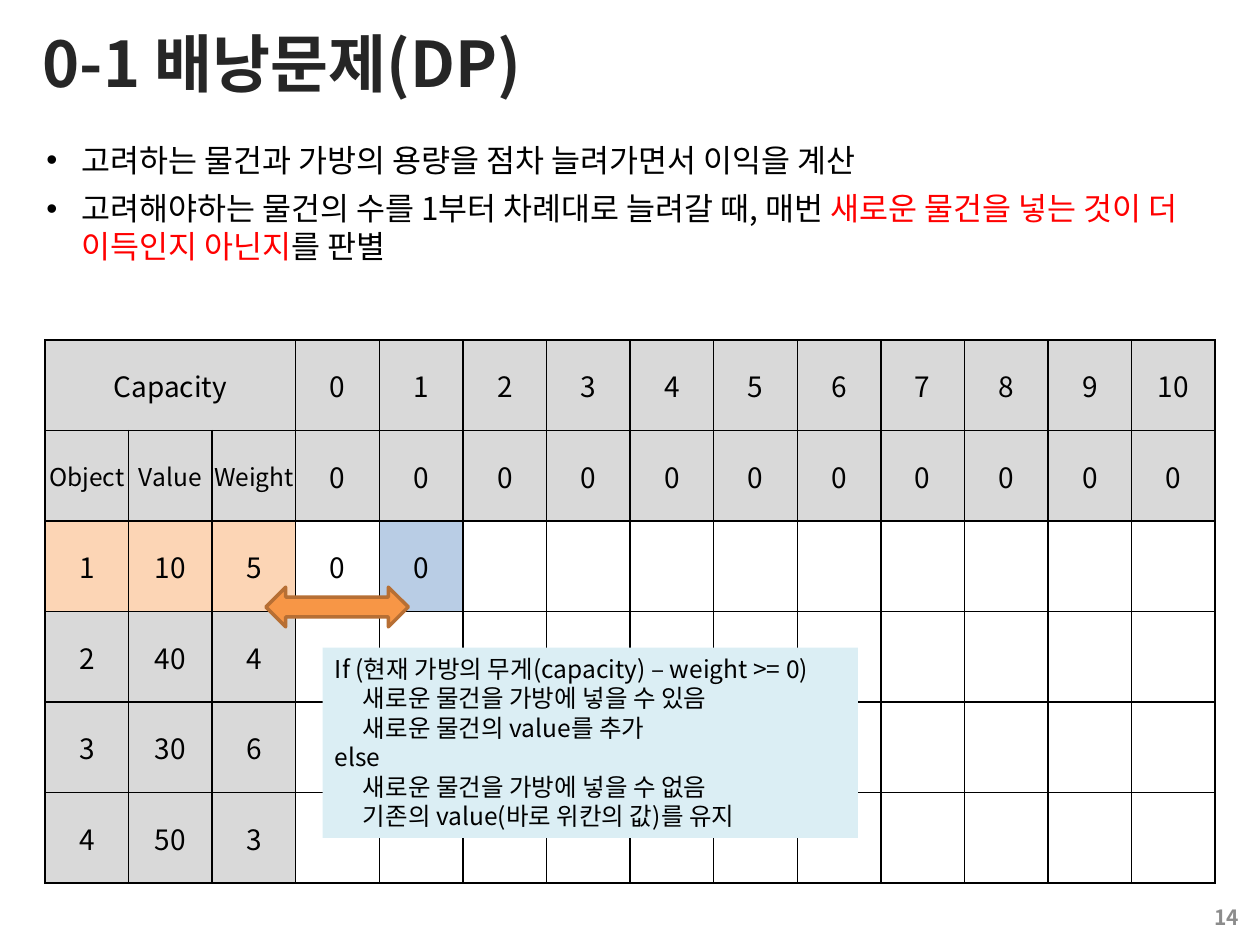
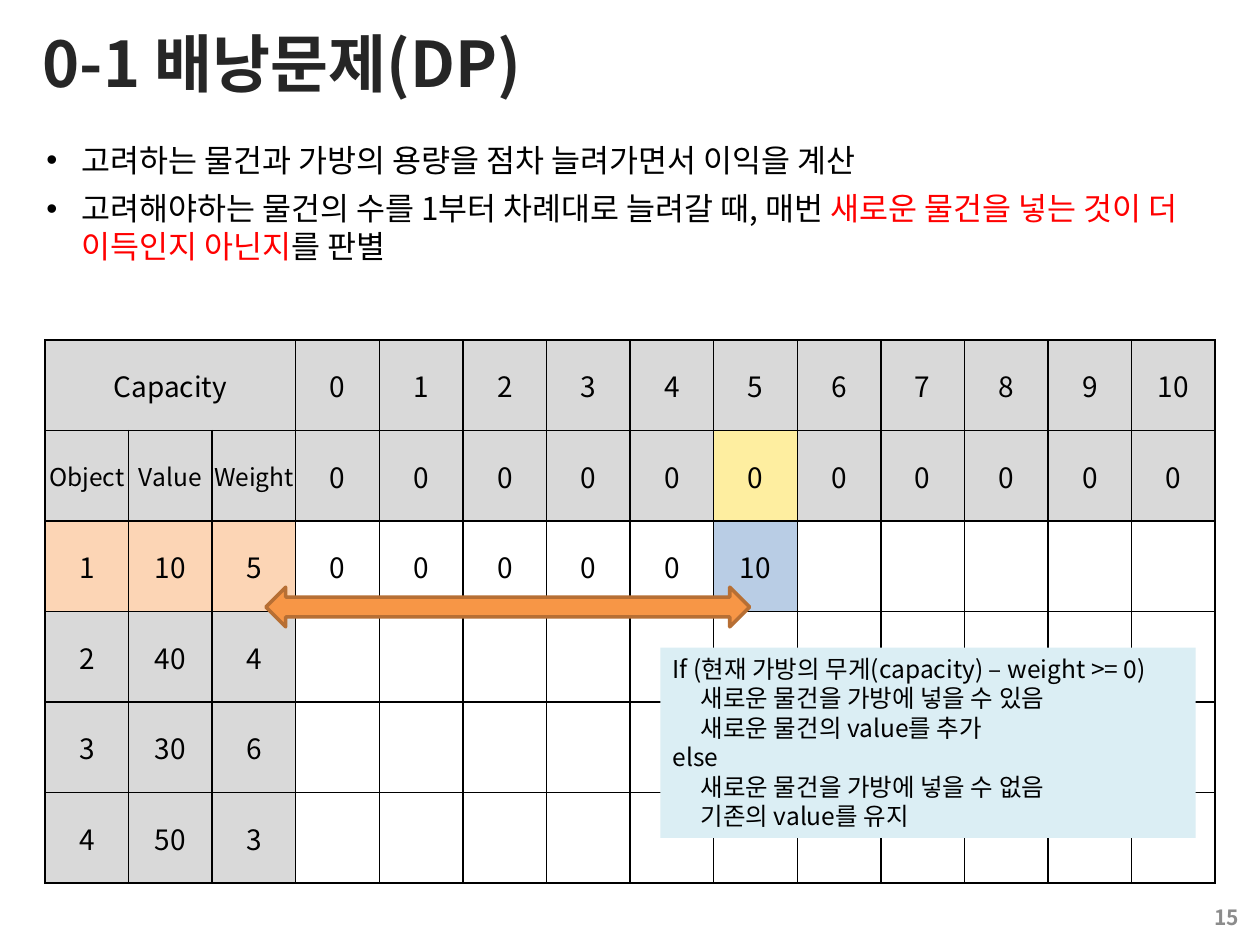
from dataclasses import dataclass
from lxml.etree import SubElement
from pptx import Presentation
from pptx.dml.color import RGBColor
from pptx.enum.shapes import MSO_SHAPE
from pptx.enum.text import MSO_ANCHOR, PP_ALIGN
from pptx.oxml import parse_xml
from pptx.oxml.ns import nsdecls, qn
from pptx.util import Pt


@dataclass(frozen=True)
class Theme:
    font: str = "Noto Sans CJK KR"
    ink: str = "000000"
    title_ink: str = "262626"
    number_ink: str = "8C8C8C"
    accent: str = "FF0000"
    header: str = "D9D9D9"
    item: str = "FCD5B5"
    current: str = "B9CDE5"
    above: str = "FEEEA0"
    arrow: str = "F79646"
    arrow_edge: str = "B76F34"
    note: str = "DBEEF4"
    title_size: int = 36
    body_size: int = 18
    cell_size: int = 16
    small_size: int = 14
    number_size: int = 12


@dataclass(frozen=True)
class Box:
    left: float
    top: float
    width: float
    height: float

    def points(self):
        return [Pt(side) for side in (self.left, self.top, self.width, self.height)]


THEME = Theme()
TITLE_BOX = Box(17.3, 0.7, 684.7, 69.8)
BODY_BOX = Box(19.4, 77, 681.1, 438.5)
NUMBER_BOX = Box(547.2, 509.8, 167.8, 28.8)
TABLE_BOX = Box(25.7, 194.4, 668.9, 310.3)
TITLE = "0-1 배낭문제(DP)"
BULLETS = [
    [("고려하는 물건과 가방의 용량을 점차 늘려가면서 이익을 계산", THEME.ink)],
    [
        ("고려해야하는 물건의 수를 1부터 차례대로 늘려갈 때, 매번 ", THEME.ink),
        ("새로운 물건을 넣는 것이 더 이득인지 아닌지", THEME.accent),
        ("를 판별", THEME.ink),
    ],
]
CAPACITIES = range(11)
LABELS = ["Object", "Value", "Weight"]
OBJECTS = [(1, 10, 5), (2, 40, 4), (3, 30, 6), (4, 50, 3)]
NOTE_LINES = [
    (0, "If (현재 가방의 무게(capacity) – weight >= 0)"),
    (1, "새로운 물건을 가방에 넣을 수 있음"),
    (1, "새로운 물건의 value를 추가"),
    (0, "else"),
    (1, "새로운 물건을 가방에 넣을 수 없음"),
]
STEPS = [
    {"number": 14, "gains": [0, 0], "compare_above": False, "arrow_width": 81.4,
     "note_left": 184.3, "last_line": "기존의 value(바로 위칸의 값)를 유지"},
    {"number": 15, "gains": [0, 0, 0, 0, 0, 10], "compare_above": True, "arrow_width": 276.5,
     "note_left": 377.3, "last_line": "기존의 value를 유지"},
]


def assign(target, values):
    for name, value in values.items():
        setattr(target, name, value)


def paint(fill, color):
    fill.solid()
    fill.fore_color.rgb = RGBColor.from_string(color)


def write(para, text, size, color=THEME.ink, bold=False):
    span = para.add_run()
    span.text = text
    assign(span.font, {"name": THEME.font, "size": Pt(size), "bold": bold})
    span.font.color.rgb = RGBColor.from_string(color)
    SubElement(span.font._element, qn("a:ea")).set("typeface", THEME.font)


def indent(para, left, hanging=0):
    properties = para._p.get_or_add_pPr()
    properties.set("marL", str(Pt(left)))
    properties.set("indent", str(-Pt(hanging)))
    return properties


def add_text_frame(page, box, anchor):
    frame = page.shapes.add_textbox(*box.points()).text_frame
    assign(frame, {"word_wrap": True, "vertical_anchor": anchor})
    return frame


def next_para(frame, index):
    return frame.add_paragraph() if index else frame.paragraphs[0]


def add_title(page, box):
    frame = add_text_frame(page, box, MSO_ANCHOR.MIDDLE)
    write(frame.paragraphs[0], TITLE, THEME.title_size, THEME.title_ink, True)


def add_bullets(page, box):
    frame = add_text_frame(page, box, MSO_ANCHOR.TOP)
    for index, parts in enumerate(BULLETS):
        para = next_para(frame, index)
        assign(para, {"space_before": Pt(3), "space_after": Pt(3)})
        properties = indent(para, 20, 20)
        SubElement(properties, qn("a:buFont")).set("typeface", "Arial")
        SubElement(properties, qn("a:buChar")).set("char", "•")
        for text, color in parts:
            write(para, text, THEME.body_size, color)


def add_page_number(page, box, number):
    para = add_text_frame(page, box, MSO_ANCHOR.MIDDLE).paragraphs[0]
    para.alignment = PP_ALIGN.RIGHT
    write(para, str(number), THEME.number_size, THEME.number_ink, True)


def border_cell(cell):
    properties = cell._tc.get_or_add_tcPr()
    for index, side in enumerate("LRTB"):
        properties.insert(index, parse_xml(
            f'<a:ln{side} {nsdecls("a")} w="{Pt(1)}"><a:solidFill>'
            f'<a:srgbClr val="{THEME.ink}"/></a:solidFill></a:ln{side}>'))


def cell_color(row, column, step):
    current = len(LABELS) + len(step["gains"]) - 1
    if column == current and row == 2:
        return THEME.current
    if column == current and row == 1 and step["compare_above"]:
        return THEME.above
    if row == 2 and column < len(LABELS):
        return THEME.item
    if row < 2 or column < len(LABELS):
        return THEME.header
    return None


def add_knapsack_table(page, box, step):
    rows = [["Capacity", "", "", *CAPACITIES], [*LABELS, *(0 for _ in CAPACITIES)], *OBJECTS]
    rows[2] = [*rows[2], *step["gains"]]
    column_count = len(rows[0])
    table = page.shapes.add_table(len(rows), column_count, *box.points()).table
    assign(table, {"first_row": False, "horz_banding": False})
    for column in table.columns:
        column.width = Pt(box.width / column_count)
    for row in table.rows:
        row.height = Pt(box.height / len(rows))
    for row, values in enumerate(rows):
        for column in range(column_count):
            cell = table.cell(row, column)
            margins = {f"margin_{side}": 0 for side in ("left", "right", "top", "bottom")}
            assign(cell, {"vertical_anchor": MSO_ANCHOR.MIDDLE, **margins})
            color = cell_color(row, column, step)
            if color:
                paint(cell.fill, color)
            else:
                cell.fill.background()
            border_cell(cell)
            text = str(values[column]) if column < len(values) else ""
            if text:
                para = cell.text_frame.paragraphs[0]
                para.alignment = PP_ALIGN.CENTER
                write(para, text, THEME.small_size if text in LABELS else THEME.cell_size)
    table.cell(0, 0).merge(table.cell(0, len(LABELS) - 1))


def add_compare_arrow(page, box):
    arrow = page.shapes.add_shape(MSO_SHAPE.LEFT_RIGHT_ARROW, *box.points())
    arrow.shadow.inherit = False
    paint(arrow.fill, THEME.arrow)
    paint(arrow.line.fill, THEME.arrow_edge)
    arrow.line.width = Pt(2)


def add_rule_note(page, box, last_line):
    note = page.shapes.add_shape(MSO_SHAPE.RECTANGLE, *box.points())
    note.shadow.inherit = False
    paint(note.fill, THEME.note)
    note.line.fill.background()
    frame = note.text_frame
    assign(frame, {"word_wrap": True, "vertical_anchor": MSO_ANCHOR.TOP})
    for index, (level, text) in enumerate([*NOTE_LINES, (1, last_line)]):
        para = next_para(frame, index)
        para.alignment = PP_ALIGN.LEFT
        indent(para, 16 * level)
        write(para, text, THEME.small_size)


def add_step_page(deck, step):
    page = deck.slides.add_slide(deck.slide_layouts[6])
    add_title(page, TITLE_BOX)
    add_bullets(page, BODY_BOX)
    add_page_number(page, NUMBER_BOX, step["number"])
    add_knapsack_table(page, TABLE_BOX, step)
    add_compare_arrow(page, Box(151.9, 335.5, step["arrow_width"], 22.7))
    add_rule_note(page, Box(step["note_left"], 370.1, 306, 108.7), step["last_line"])


def main():
    deck = Presentation()
    assign(deck, {"slide_width": Pt(720), "slide_height": Pt(540)})
    for step in STEPS:
        add_step_page(deck, step)
    deck.save("out.pptx")


if __name__ == "__main__":
    main()
